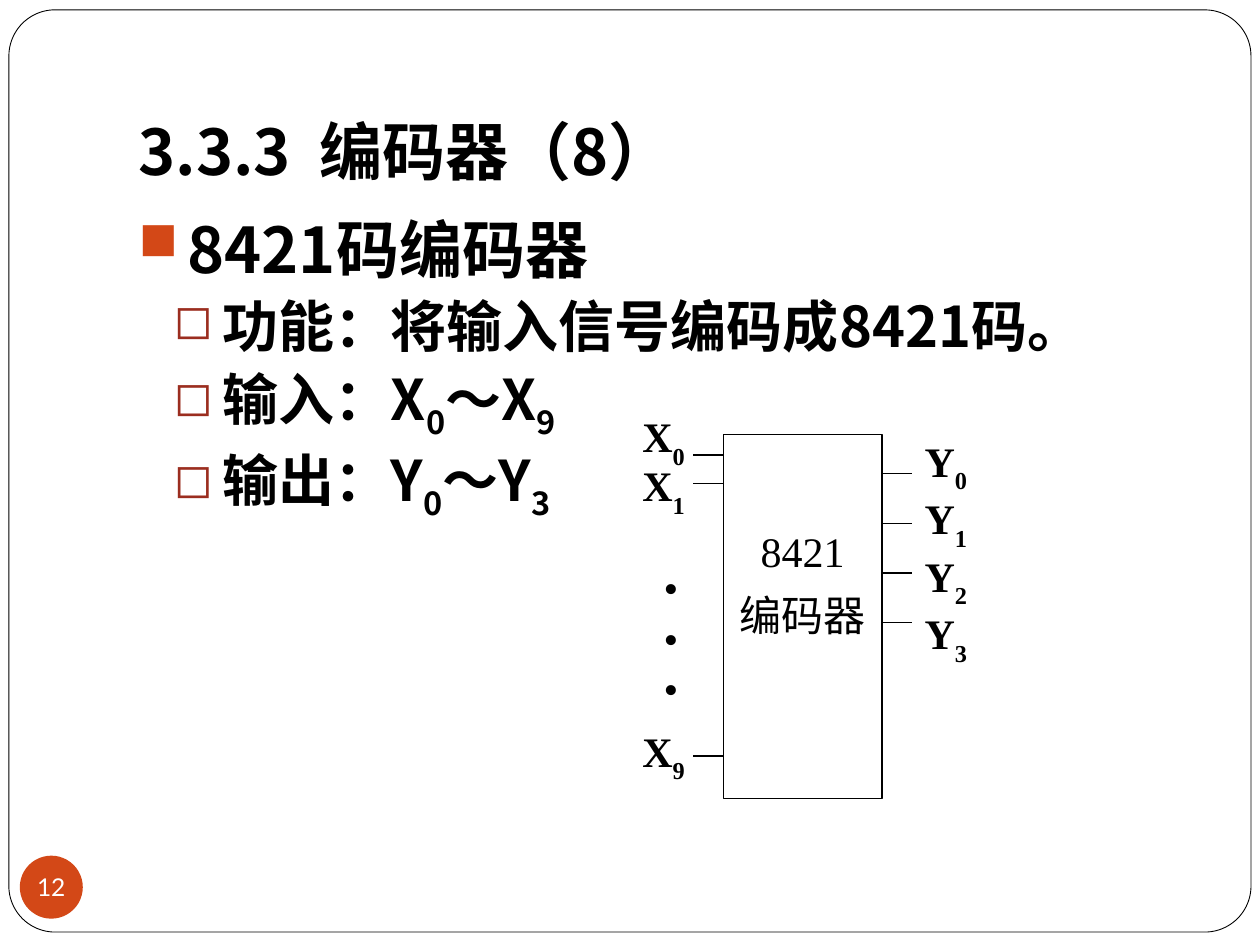
"""Build the slide about the 8421 encoder."""
import pptx
import pptx.dml.color
import pptx.enum.shapes
import pptx.enum.text
import pptx.oxml
import pptx.oxml.ns
import pptx.util
from lxml import etree

Cm, Pt = pptx.util.Cm, pptx.util.Pt
SHAPE = pptx.enum.shapes.MSO_SHAPE
ANCHOR = pptx.enum.text.MSO_ANCHOR
ALIGN = pptx.enum.text.PP_ALIGN
SANS, SERIF = "Noto Sans CJK JP", "Times New Roman"
BLACK, WHITE, ORANGE, BRICK = "000000", "FFFFFF", "D34817", "9B2D1F"


def rgb(color):
    """Turn a hex string into a colour."""
    return pptx.dml.color.RGBColor.from_string(color)


def add_child(parent, tag, **attributes):
    """Append a drawing element to its parent."""
    child = etree.SubElement(parent, pptx.oxml.ns.qn(tag))
    for key, value in attributes.items():
        child.set(key, value)
    return child


def add_run(paragraph, words, size, font=SANS, color=BLACK, bold=False, baseline=0):
    """Add one formatted run to a paragraph."""
    run = paragraph.add_run()
    run.text = words
    run.font.size = Pt(size)
    run.font.bold = bold
    run.font.color.rgb = rgb(color)
    run.font.name = font
    properties = run.font._element
    add_child(properties, "a:ea", typeface=SANS)
    if baseline:
        properties.set("baseline", str(baseline * 1000))


def set_frame(frame, anchor, wrap=True, insets=(0.25, 0.13, 0.25, 0.13)):
    """Set anchor, wrapping and insets of a text frame."""
    frame.auto_size = pptx.enum.text.MSO_AUTO_SIZE.NONE
    frame.word_wrap = wrap
    frame.vertical_anchor = anchor
    (frame.margin_left, frame.margin_top,
     frame.margin_right, frame.margin_bottom) = map(Cm, insets)


def add_text_box(slide, box, anchor=ANCHOR.TOP, **options):
    """Add an empty text box and return its frame."""
    frame = slide.shapes.add_textbox(*map(Cm, box)).text_frame
    set_frame(frame, anchor, **options)
    return frame


def next_paragraph(frame, index):
    """Return the first paragraph, or a new one after it."""
    return frame.add_paragraph() if index else frame.paragraphs[0]


def add_outline(slide, preset, box, fill=None, line=None):
    """Add a preset shape with an optional fill and line width."""
    shape = slide.shapes.add_shape(preset, *map(Cm, box))
    shape.shadow.inherit = False
    if fill:
        shape.fill.solid()
        shape.fill.fore_color.rgb = rgb(fill)
    else:
        shape.fill.background()
    if line:
        shape.line.color.rgb = rgb(BLACK)
        shape.line.width = Pt(line)
    else:
        shape.line.fill.background()
    return shape


def add_pin(slide, start, end, y):
    """Draw one horizontal pin of the encoder."""
    pin = slide.shapes.add_connector(
        pptx.enum.shapes.MSO_CONNECTOR.STRAIGHT, Cm(start), Cm(y), Cm(end), Cm(y))
    pin.line.color.rgb = rgb(BLACK)
    pin.line.width = Pt(0.75)
    add_child(pin._element.spPr, "a:effectLst")


def add_pin_label(slide, letter, number, left, top):
    """Write a signal name with its subscript."""
    frame = add_text_box(slide, (left, top, 1.5, 1.09), ANCHOR.MIDDLE, wrap=False,
                         insets=(0.25, 0.14, 0.25, 0))
    signal = frame.paragraphs[0]
    add_run(signal, letter, 24, SERIF, bold=True)
    add_run(signal, number, 24, SERIF, bold=True, baseline=-30)


def add_bullet(paragraph, character, color, margin):
    """Give a paragraph a hanging coloured bullet."""
    properties = paragraph._p.get_or_add_pPr()
    properties.set("marL", str(Cm(margin)))
    properties.set("indent", str(Cm(-0.99)))
    add_child(add_child(properties, "a:buClr"), "a:srgbClr", val=color)
    add_child(properties, "a:buSzPct", val="85000")
    add_child(properties, "a:buChar", char=character)


def add_title(slide):
    """Place and write the title."""
    title = slide.shapes.title
    title.left, title.top, title.width, title.height = map(Cm, (2.54, 0.76, 21.59, 3.18))
    set_frame(title.text_frame, ANCHOR.BOTTOM, insets=(0.25, 0.13, 0.25, 0.15))
    heading = title.text_frame.paragraphs[0]
    heading.alignment = ALIGN.LEFT
    add_run(heading, "3.3.3  编码器（8）", 36, bold=True)


def add_points(slide):
    """Write the main point and its details."""
    frame = add_text_box(slide, (2.54, 4.01, 21.59, 12.7))
    points = [
        (46, ["8421码编码器"]),
        (38, ["功能：将输入信号编码成8421码。"]),
        (43, ["输入：X", "0", "～X", "9"]),
        (43, ["输出：Y", "0", "～Y", "3"]),
    ]
    for index, (line_height, pieces) in enumerate(points):
        point = next_paragraph(frame, index)
        point.line_spacing = Pt(line_height)
        if index:
            point.space_before = Pt(3.7)
            add_bullet(point, "◻", BRICK, 1.7)
        else:
            add_bullet(point, "■", ORANGE, 0.99)
        for position, piece in enumerate(pieces):
            add_run(point, piece, 32 if index else 36, bold=True,
                    baseline=-25 if position % 2 else 0)


def add_encoder(slide):
    """Draw the encoder block with its inputs and outputs."""
    left, right, pin_length = 14.58, 17.78, 0.61
    add_outline(slide, SHAPE.RECTANGLE, (left, 8.76, right - left, 7.34), line=0.75)
    inputs = [("0", 9.17, 8.26), ("1", 9.75, 9.25), ("9", 15.24, 14.6)]
    for number, pin_y, label_top in inputs:
        add_pin(slide, left, left - pin_length, pin_y)
        add_pin_label(slide, "X", number, 12.7, label_top)
    for number in range(4):
        add_pin(slide, right, right + pin_length, 9.55 + number)
        add_pin_label(slide, "Y", str(number), right + pin_length, 8.76 + 1.16 * number)

    caption = add_text_box(slide, (left, 10.46, right - left, 2.7))
    for index, words in enumerate(["8421", "编码器"]):
        line = next_paragraph(caption, index)
        line.alignment = ALIGN.CENTER
        if index:
            line.space_before = Pt(8)
        add_run(line, words, 24, SERIF)

    omitted_inputs = add_text_box(slide, (13.13, 11.18, 1.27, 3.3))
    for index in range(3):
        dot = next_paragraph(omitted_inputs, index)
        dot.line_spacing = Pt(29)
        add_run(dot, "•", 24, SERIF)


def add_page_number(slide):
    """Draw the round page number."""
    badge = add_outline(slide, SHAPE.OVAL, (0.4, 17.25, 1.27, 1.27), fill=ORANGE)
    set_frame(badge.text_frame, ANCHOR.MIDDLE, wrap=False, insets=(0, 0, 0, 0))
    number = badge.text_frame.paragraphs[0]
    number.alignment = ALIGN.CENTER
    add_run(number, "12", 14, "Lato", WHITE)


def main():
    """Build and save the slide."""
    deck = pptx.Presentation()
    deck.slide_width, deck.slide_height = Cm(25.4), Cm(19.05)
    slide = deck.slides.add_slide(deck.slide_layouts[5])
    border = add_outline(slide, SHAPE.ROUNDED_RECTANGLE, (0.18, 0.2, 25.04, 18.59), line=0.5)
    border.adjustments[0] = 0.05
    add_title(slide)
    add_page_number(slide)
    add_points(slide)
    add_encoder(slide)
    deck.save("out.pptx")


if __name__ == "__main__":
    main()
